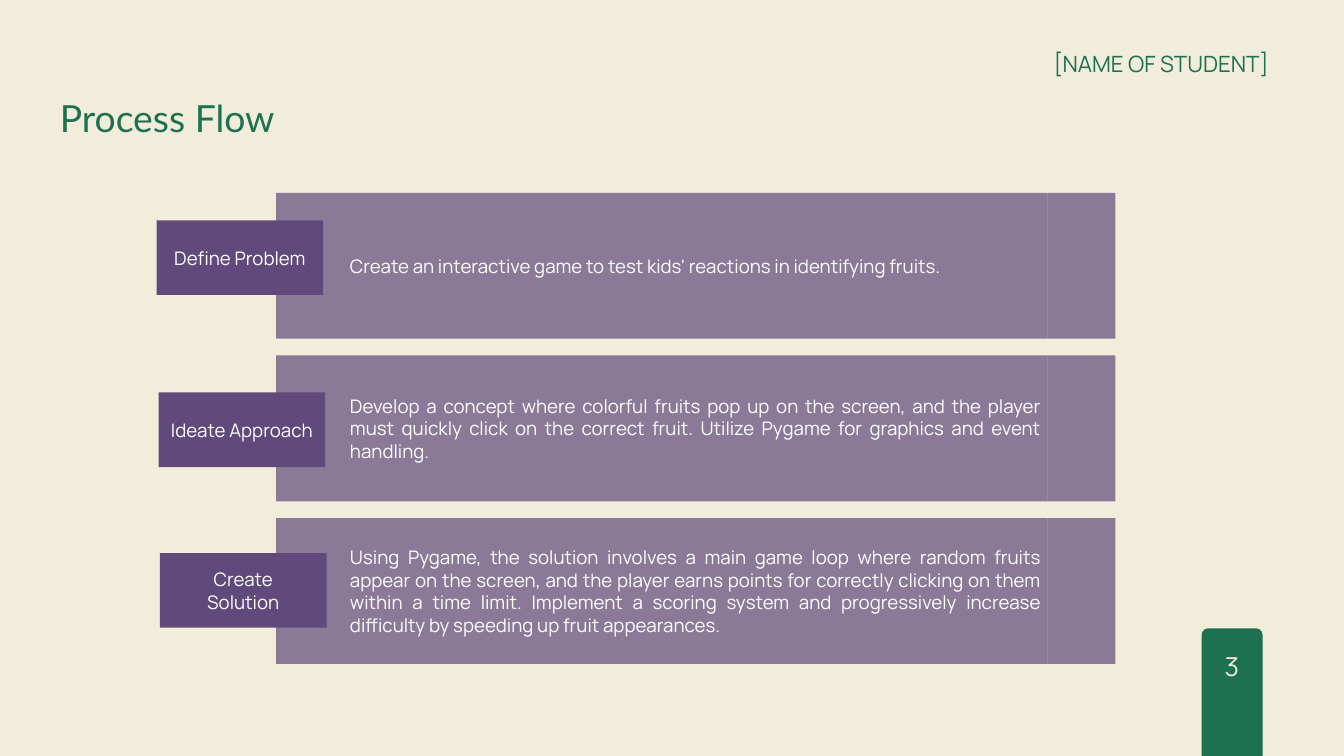
from pptx import Presentation
from pptx.dml.color import RGBColor
from pptx.enum.shapes import MSO_SHAPE
from pptx.enum.text import MSO_ANCHOR, MSO_AUTO_SIZE, PP_ALIGN
from pptx.oxml.ns import qn
from pptx.util import Inches, Pt
from lxml.etree import SubElement

CREAM = RGBColor(0xF2, 0xED, 0xDB)
GREEN = RGBColor(0x1D, 0x71, 0x51)
PURPLE = RGBColor(0x60, 0x4A, 0x7B)
WHITE = RGBColor(0xFF, 0xFF, 0xFF)

COLUMNS, ROWS = 20, 11.25
PANEL_TOP, PANEL_STEP, PANEL_HEIGHT = 2.87, 2.42, 2.17
PANEL_LEFT, PANEL_WIDTH, END_WIDTH = 4.11, 11.48, 1.01
TAG_WIDTH, TAG_HEIGHT = 2.48, 1.11

STEPS = [
    (2.33, 3.28, "Define Problem",
     "Create an interactive game to test kids' reactions in identifying fruits."),
    (2.36, 5.84, "Ideate Approach",
     "Develop a concept where colorful fruits pop up on the screen, and the player must "
     "quickly click on the correct fruit. Utilize Pygame for graphics and event handling."),
    (2.38, 8.23, "Create\nSolution",
     "Using Pygame, the solution involves a main game loop where random fruits appear on "
     "the screen, and the player earns points for correctly clicking on them within a time "
     "limit. Implement a scoring system and progressively increase difficulty by speeding "
     "up fruit appearances."),
]


class SlideBuilder:
    """Draws styled elements on one slide, measured in columns and rows of a grid."""

    def __init__(self, presentation):
        presentation.slide_width = Inches(COLUMNS)
        presentation.slide_height = Inches(ROWS)
        self.column = presentation.slide_width / COLUMNS
        self.row = presentation.slide_height / ROWS
        self.heading_font, self.body_font = "Lato", "Manrope"
        self.slide = presentation.slides.add_slide(presentation.slide_layouts[5])
        self.slide.background.fill.solid()
        self.slide.background.fill.fore_color.rgb = CREAM

    def place(self, left, top, width, height):
        return (round(left * self.column), round(top * self.row),
                round(width * self.column), round(height * self.row))

    def fill_text(self, shape, text, size, color, alignment, font=None, spacing=None):
        frame = shape.text_frame
        frame.text = text
        frame.word_wrap = True
        for paragraph in frame.paragraphs:
            paragraph.alignment = alignment
            if spacing:
                paragraph.line_spacing = Pt(spacing)
            for run in paragraph.runs:
                run.font.name = font or self.body_font
                run.font.size = Pt(size)
                run.font.color.rgb = color
        return frame

    def label(self, shape, text, size, color, alignment, font=None):
        frame = self.fill_text(shape, text, size, color, alignment, font, size * 1.4)
        frame.margin_left = frame.margin_right = frame.margin_top = frame.margin_bottom = 0
        frame.vertical_anchor = MSO_ANCHOR.TOP
        frame.auto_size = MSO_AUTO_SIZE.NONE

    def title(self, box, text):
        shape = self.slide.shapes.title
        shape.left, shape.top, shape.width, shape.height = self.place(*box)
        self.label(shape, text, 40, GREEN, PP_ALIGN.LEFT, self.heading_font)

    def text(self, box, text, size, color, alignment):
        shape = self.slide.shapes.add_textbox(*self.place(*box))
        self.label(shape, text, size, color, alignment)

    def block(self, box, color, kind=MSO_SHAPE.RECTANGLE, opacity=100):
        shape = self.slide.shapes.add_shape(kind, *self.place(*box))
        shape.shadow.inherit = False
        shape.fill.solid()
        shape.fill.fore_color.rgb = color
        shape.line.fill.background()
        if opacity < 100:
            fill_color = shape._element.spPr.find(qn("a:solidFill"))[0]
            SubElement(fill_color, qn("a:alpha")).set("val", str(opacity * 1000))
        return shape

    def page_tab(self, box, number):
        left, top, width, height = box
        shape = self.block(box, GREEN, MSO_SHAPE.ROUNDED_RECTANGLE)
        shape.adjustments[0] = 0.11
        self.text((left + 0.25, top + 0.25, 0.4, 0.53), number, 28, CREAM, PP_ALIGN.CENTER)

    def panel(self, top, text):
        shape = self.block((PANEL_LEFT, top, PANEL_WIDTH, PANEL_HEIGHT), PURPLE, opacity=70)
        frame = self.fill_text(shape, text, 20, WHITE, PP_ALIGN.JUSTIFY)
        frame.vertical_anchor = MSO_ANCHOR.MIDDLE
        properties = frame.paragraphs[0]._p.get_or_add_pPr()
        properties.set("marL", str(Inches(1)))
        properties.set("indent", "0")
        self.block((PANEL_LEFT + PANEL_WIDTH, top, END_WIDTH, PANEL_HEIGHT), PURPLE, opacity=70)

    def tag(self, left, top, text):
        shape = self.block((left, top, TAG_WIDTH, TAG_HEIGHT), PURPLE)
        frame = self.fill_text(shape, text, 20, WHITE, PP_ALIGN.CENTER)
        frame.vertical_anchor = MSO_ANCHOR.MIDDLE


def main():
    presentation = Presentation()
    builder = SlideBuilder(presentation)
    builder.page_tab((17.88, 9.35, 0.91, 2), "3")
    builder.title((0.89, 1.31, 7.6, 0.76), "Process Flow")
    builder.text((14.99, 0.68, 3.89, 0.45), "[NAME OF STUDENT]", 24, GREEN, PP_ALIGN.RIGHT)
    for index, (left, top, name, description) in enumerate(STEPS):
        builder.panel(PANEL_TOP + index * PANEL_STEP, description)
        builder.tag(left, top, name)
    presentation.save("out.pptx")


if __name__ == "__main__":
    main()
